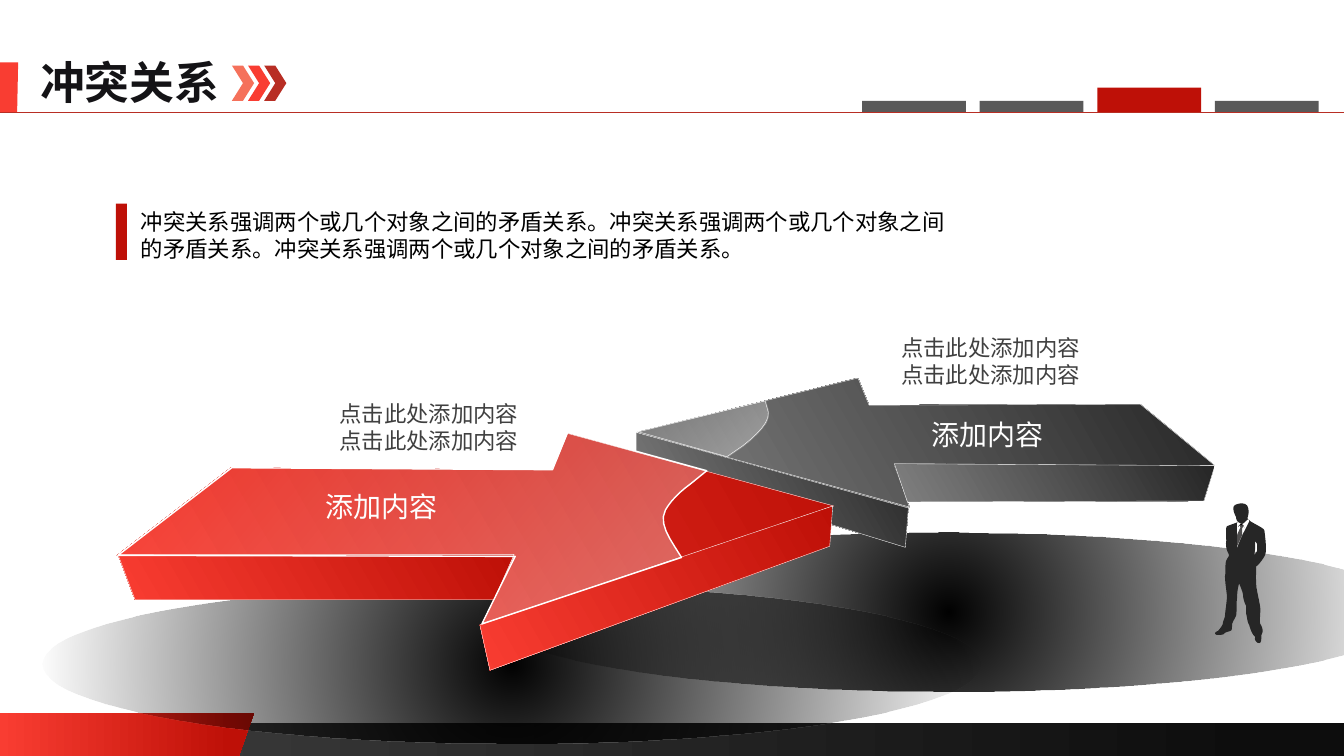
import pptx
import pptx.dml.color
import pptx.enum.shapes
import pptx.enum.text
import pptx.oxml.ns
import pptx.util
from dataclasses import dataclass
from lxml import etree

Inches = pptx.util.Inches
Pt = pptx.util.Pt
qn = pptx.oxml.ns.qn
SHAPE = pptx.enum.shapes.MSO_SHAPE


@dataclass(frozen=True)
class Theme:
    """Font, type sizes in points, and colours."""
    font: str = "Noto Sans CJK SC"
    title: int = 32
    label: int = 20
    body: int = 16
    white: str = "FFFFFF"
    black: str = "000000"
    ink: str = "141316"
    charcoal: str = "262626"
    dark: str = "404040"
    grey: str = "595959"
    light_grey: str = "808080"
    footer_end: str = "0D0D0D"
    coral: str = "F5715B"
    red: str = "F93D32"
    brick: str = "B82E24"
    deep_red: str = "BE1007"
    tie: str = "4E4D4D"
    collar: str = "040000"


@dataclass(frozen=True)
class Gradient:
    """Two-stop gradient; angle None means radial, alphas are percentages."""
    start: str
    end: str
    angle: float = None
    alphas: tuple = (100, 100)
    end_position: float = 1.0


def rgb(code):
    """Return the colour for a hex code."""
    return pptx.dml.color.RGBColor.from_string(code)


def contours(outline, steps=6):
    """Turn M, L and C commands in inches into lists of points."""
    result, numbers, command = [], [], "M"
    for token in outline.split():
        if token.isalpha():
            command = token
            continue
        numbers.append(float(token))
        if len(numbers) < (6 if command == "C" else 2):
            continue
        points = list(zip(numbers[::2], numbers[1::2]))
        numbers = []
        if command == "M":
            result.append(points)
        elif command == "L":
            result[-1] += points
        else:
            p0, (p1, p2, p3) = result[-1][-1], points
            for i in range(1, steps + 1):
                t = i / steps
                weights = ((1 - t) ** 3, 3 * t * (1 - t) ** 2, 3 * t * t * (1 - t), t ** 3)
                result[-1].append(tuple(sum(w * p[axis] for w, p in zip(weights, (p0, p1, p2, p3)))
                                        for axis in (0, 1)))
    return result


class Deck:
    """Holds the theme and the current slide, and draws elements on it."""

    def __init__(self, slide, theme):
        """Keep the slide and the theme."""
        self.slide, self.theme = slide, theme

    def finish(self, sp, fill, line=None, width=0.25):
        """Apply fill and outline to a shape and drop its shadow."""
        sp.shadow.inherit = False
        if isinstance(fill, Gradient):
            self.shade(sp, fill)
        else:
            sp.fill.solid()
            sp.fill.fore_color.rgb = rgb(fill)
        if line:
            sp.line.color.rgb = rgb(line)
            sp.line.width = Pt(width)
        else:
            sp.line.fill.background()

    def shade(self, sp, gradient):
        """Fill a shape with a linear or radial gradient."""
        sp.fill.gradient()
        stops = sp.fill.gradient_stops
        for stop, color in zip(stops, (gradient.start, gradient.end)):
            stop.color.rgb = rgb(color)
        stops[1].position = gradient.end_position
        grad = sp._element.spPr.find(qn("a:gradFill"))
        for clr, alpha in zip(grad.iter(qn("a:srgbClr")), gradient.alphas):
            if alpha < 100:
                etree.SubElement(clr, qn("a:alpha"), val=str(alpha * 1000))
        if gradient.angle is not None:
            sp.fill.gradient_angle = (360 - gradient.angle) % 360
            return
        lin = grad.find(qn("a:lin"))
        radial = etree.Element(qn("a:path"), {"path": "circle"})
        etree.SubElement(radial, qn("a:fillToRect"), {side: "50000" for side in "ltrb"})
        grad.replace(lin, radial)

    def shape(self, kind, x, y, w, h, fill):
        """Add a preset shape."""
        sp = self.slide.shapes.add_shape(kind, Inches(x), Inches(y), Inches(w), Inches(h))
        self.finish(sp, fill)

    def outline(self, commands, fill, line=None, width=0.25):
        """Add a closed freeform from outline commands."""
        builder = None
        for points in contours(commands):
            points = [(Inches(x), Inches(y)) for x, y in points]
            if builder is None:
                builder = self.slide.shapes.build_freeform(*points[0])
            else:
                builder.move_to(*points[0])
            builder.add_line_segments(points[1:], close=True)
        self.finish(builder.convert_to_shape(), fill, line, width)

    def rule(self, x1, y1, x2, y2, color, width):
        """Add a straight line."""
        cxn = self.slide.shapes.add_connector(
            pptx.enum.shapes.MSO_CONNECTOR.STRAIGHT, Inches(x1), Inches(y1), Inches(x2), Inches(y2))
        cxn.line.color.rgb = rgb(color)
        cxn.line.width = Pt(width)
        etree.SubElement(cxn._element.spPr, qn("a:effectLst"))

    def text(self, text, x, y, w, h, *, size, color, bold=False):
        """Add a text box with one paragraph per line of text."""
        tf = self.slide.shapes.add_textbox(Inches(x), Inches(y), Inches(w), Inches(h)).text_frame
        tf.word_wrap = False
        tf.auto_size = pptx.enum.text.MSO_AUTO_SIZE.SHAPE_TO_FIT_TEXT
        for i, line in enumerate(text.split("\n")):
            p = tf.add_paragraph() if i else tf.paragraphs[0]
            r = p.add_run()
            r.text = line
            r.font.size, r.font.bold, r.font.name = Pt(size), bold, self.theme.font
            r.font.color.rgb = rgb(color)
            etree.SubElement(r._r.get_or_add_rPr(), qn("a:ea"), typeface=self.theme.font)


LEFT_LEG = """M 12.29 5.79 C 12.29 5.79 12.27 5.85 12.27 5.93 12.26 6.01 12.27 6.06 12.26 6.11
12.24 6.15 12.22 6.18 12.22 6.2 12.22 6.23 12.22 6.26 12.2 6.26 12.18 6.27 12.15 6.27 12.14 6.29
12.12 6.3 12.1 6.3 12.07 6.3 12.04 6.29 12.05 6.27 12.08 6.26 12.1 6.24 12.13 6.2 12.13 6.18
12.13 6.16 12.15 6.13 12.15 6.11 12.15 6.09 12.17 5.95 12.17 5.92 12.17 5.9 12.15 5.77 12.15 5.72"""
TORSO = """12.16 5.67 12.15 5.6 12.16 5.57 12.17 5.54 12.19 5.52 12.19 5.51 12.19 5.49 12.16 5.47 12.16 5.39
12.17 5.35 12.15 5.24 12.17 5.22 12.2 5.21 12.28 5.18 12.28 5.18 12.28 5.18 12.26 5.16 12.26 5.13
12.25 5.11 12.21 5.03 12.25 5.01 12.29 4.99 12.37 4.98 12.38 5.04 12.39 5.09 12.38 5.1 12.38 5.12
12.37 5.14 12.37 5.15 12.39 5.16 12.4 5.18 12.54 5.24 12.54 5.26 12.54 5.26 12.57 5.46 12.55 5.5"""
RIGHT_LEG = """12.54 5.53 12.49 5.6 12.46 5.62 12.46 5.64 12.45 5.81 12.47 5.87 12.48 5.93 12.51 6.04 12.5 6.08
12.5 6.11 12.49 6.16 12.5 6.19 12.52 6.22 12.53 6.26 12.52 6.28 12.51 6.3 12.51 6.31 12.51 6.33
12.51 6.34 12.51 6.38 12.49 6.38 12.47 6.38 12.46 6.37 12.45 6.35 12.44 6.33 12.46 6.32 12.44 6.31
12.42 6.29 12.4 6.24 12.39 6.2 12.37 6.17 12.37 6.12 12.36 6.09 12.36 6.06 12.36 6.02 12.36 6.01
12.35 6 12.33 5.94 12.33 5.91 12.33 5.88 12.3 5.81 12.29 5.79"""
ARM_GAP = """M 12.44 5.51 C 12.46 5.48 12.46 5.48 12.46 5.48 12.46 5.48 12.47 5.47 12.47 5.45
12.47 5.43 12.47 5.42 12.47 5.41 12.47 5.39 12.45 5.37 12.45 5.37
12.45 5.37 12.45 5.42 12.45 5.43 12.45 5.44 12.44 5.51 12.44 5.51"""
MAN = " ".join((LEFT_LEG, TORSO, RIGHT_LEG, ARM_GAP))
SHIRT = """M 12.27 5.43 C 12.27 5.43 12.32 5.3 12.34 5.27 12.36 5.23 12.39 5.17 12.39 5.17
12.38 5.15 12.38 5.15 12.38 5.15 12.38 5.15 12.33 5.2 12.32 5.2 12.31 5.2 12.28 5.18 12.28 5.18
12.28 5.17 12.27 5.18 12.27 5.2 12.27 5.21 12.27 5.43 12.27 5.43"""
TIE = """M 12.33 5.22 C 12.33 5.22 12.32 5.2 12.31 5.2 12.31 5.2 12.3 5.21 12.3 5.22
12.3 5.23 12.31 5.23 12.3 5.24 12.3 5.24 12.27 5.3 12.27 5.31 12.27 5.32 12.27 5.42 12.27 5.42
L 12.32 5.31 12.32 5.24 C 12.32 5.24 12.33 5.23 12.33 5.22"""
COLLAR = ("M 12.28 5.23 C 12.28 5.22 12.3 5.2 12.31 5.2 L 12.31 5.21 C 12.3 5.21 12.28 5.22 12.28 5.23",
          "M 12.34 5.24 C 12.34 5.22 12.33 5.21 12.31 5.21 L 12.31 5.2 C 12.33 5.2 12.34 5.22 12.34 5.24")
GREY_ARROW = ("M 9.01 5.04 L 8.98 5.43 6.31 4.61 6.31 4.29",
              "M 6.31 4.29 L 8.51 3.75 8.62 4.02 11.31 4.01 12.05 4.62 8.87 4.61 9.02 5.03",
              "M 8.87 4.6 L 9 4.98 11.94 4.97 12.05 4.62")
RED_ARROW = ("M 2.29 4.64 L 1.16 5.51 5.1 5.52 4.78 6.19 8.27 5.02 5.63 4.3 5.48 4.66",
             "M 1.17 5.5 L 1.34 5.95 4.9 5.95 5.1 5.5",
             "M 4.76 6.2 L 4.86 6.65 8.23 5.42 8.26 5.02")
GREY_GLOSS = """M 7.58 3.98 L 7.59 3.98 C 7.6 4.02 7.61 4.05 7.62 4.09
7.63 4.19 7.52 4.3 7.37 4.42 L 7.21 4.53 6.32 4.28"""
RED_GLOSS = """M 5.63 4.29 L 7.01 4.67 6.85 4.8 C 6.74 4.88 6.65 4.97 6.6 5.06
6.53 5.19 6.64 5.34 6.74 5.5 L 6.76 5.53 4.78 6.19 5.11 5.52 1.17 5.51 2.3 4.64 5.48 4.66"""

prs = pptx.Presentation()
prs.slide_width, prs.slide_height = Inches(13.33), Inches(7.5)
t = Theme()
deck = Deck(prs.slides.add_slide(prs.slide_layouts[6]), t)
# Footer and header
deck.shape(SHAPE.RECTANGLE, 0, 7.17, 13.33, 0.33, Gradient(t.dark, t.footer_end, 0, end_position=0.94))
deck.outline("M 0 7.07 L 2.52 7.07 2.37 7.5 0 7.5", Gradient(t.red, t.deep_red, 0, end_position=0.91))
deck.outline("M 0 0.62 L 0.18 0.62 0.17 1.12 0 1.12", t.red)
deck.text("冲突关系", 0.3, 0.49, 2, 0.64, size=t.title, color=t.ink, bold=True)
deck.rule(0, 1.11, 13.33, 1.11, t.brick, 0.5)
for i, color in enumerate((t.coral, t.red, t.brick)):
    deck.shape(SHAPE.CHEVRON, 2.3 + 0.16 * i, 0.65, 0.22, 0.35, color)
for i in range(4):
    height, color = (0.24, t.deep_red) if i == 2 else (0.11, t.grey)
    deck.shape(SHAPE.RECTANGLE, 8.55 + 3.5 * i / 3, 1.11 - height, 1.03, height, color)
# Ground shadows and grey arrow
for x, y in ((4.76, 5.28), (0.42, 5.8)):
    deck.shape(SHAPE.OVAL, x, y, 9.3, 1.58, Gradient(t.black, t.black, alphas=(100, 0)))
for face in GREY_ARROW:
    deck.outline(face, Gradient(t.charcoal, t.light_grey, 150), t.white)
deck.text("添加内容", 9.14, 4.09, 1.32, 0.44, size=t.label, color=t.white)
# Introduction and captions
deck.text("冲突关系强调两个或几个对象之间的矛盾关系。冲突关系强调两个或几个对象之间\n"
          "的矛盾关系。冲突关系强调两个或几个对象之间的矛盾关系。",
          1.3, 2.02, 8.28, 0.64, size=t.body, color=t.black)
deck.shape(SHAPE.RECTANGLE, 1.15, 2.02, 0.11, 0.56, t.deep_red)
for x, y in ((3.27, 3.92), (8.84, 3.27)):
    deck.text("点击此处添加内容\n点击此处添加内容", x, y, 2, 0.64, size=t.body, color=t.dark)
# Businessman
for part, color in ((MAN, t.charcoal), (SHIRT, t.white), (TIE, t.tie), *((c, t.collar) for c in COLLAR)):
    deck.outline(part, color)
# Red arrow and gloss
for face in RED_ARROW:
    deck.outline(face, Gradient(t.deep_red, t.red, 150), t.white)
deck.text("添加内容", 3.13, 4.81, 1.32, 0.44, size=t.label, color=t.white)
for gloss, width in ((GREY_GLOSS, 0.25), (RED_GLOSS, 1)):
    deck.outline(gloss, Gradient(t.white, t.white, 220, alphas=(37, 0)), t.white, width)
prs.save("out.pptx")
